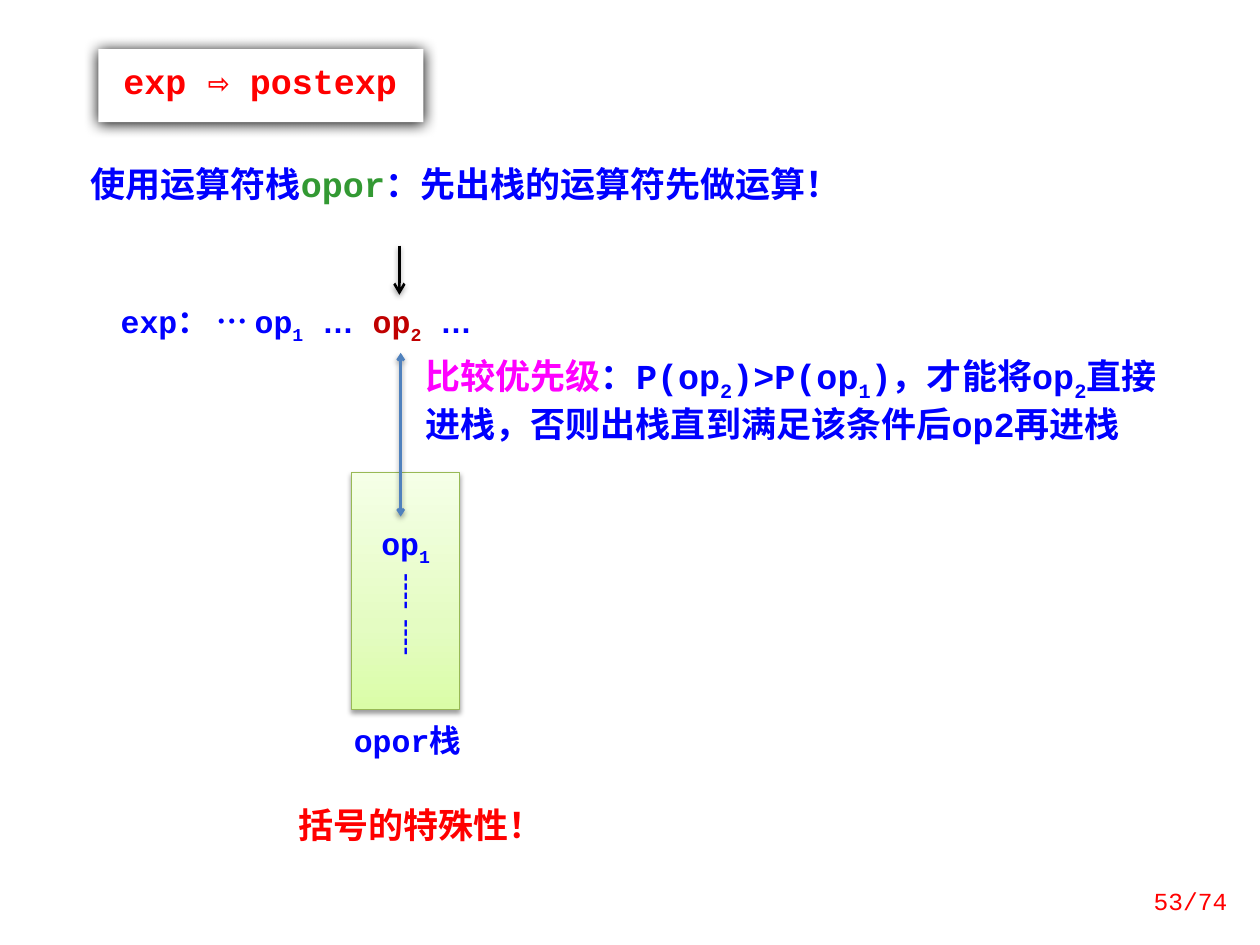
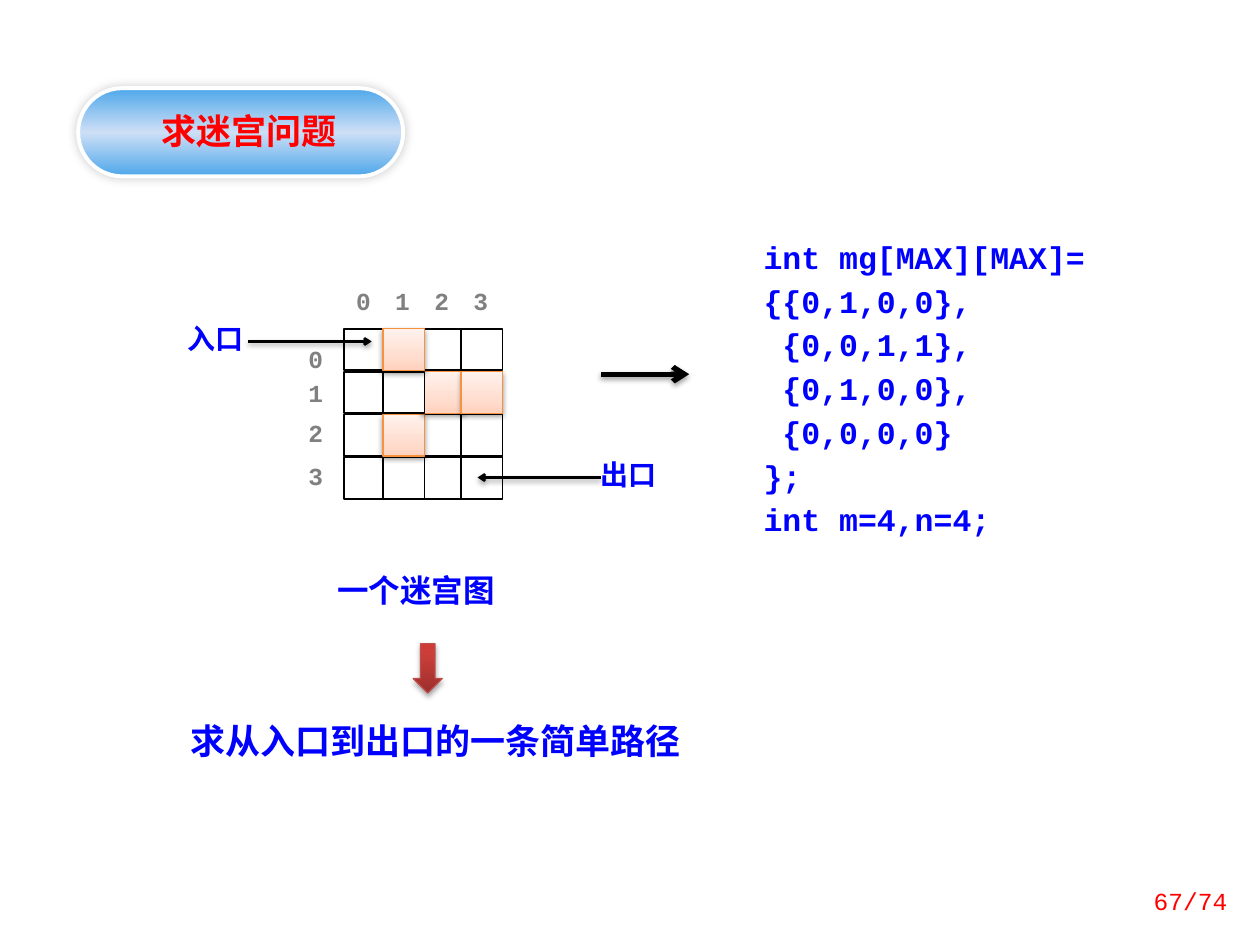
import dataclasses

import pptx
import pptx.dml.color
import pptx.enum.shapes
import pptx.enum.text
import pptx.oxml
import pptx.oxml.ns
import pptx.util

SCALE = 9144
SHAPES = pptx.enum.shapes.MSO_SHAPE
ALIGN = pptx.enum.text.PP_ALIGN
ANCHOR = pptx.enum.text.MSO_ANCHOR
FIT = pptx.enum.text.MSO_AUTO_SIZE
POINT = pptx.util.Pt


@dataclasses.dataclass(frozen=True)
class Theme:
    """Colours, fonts, type sizes and effects shared by the slides."""
    blue: str = "0000FF"
    red: str = "FF0000"
    dark_red: str = "C00000"
    green: str = "339933"
    magenta: str = "FF00FF"
    gray: str = "808080"
    black: str = "000000"
    white: str = "FFFFFF"
    steel: str = "4F81BD"
    stack_edge: str = "98B955"
    wall_edge: str = "F69240"
    arrow_edge: str = "BF4C48"
    code: str = "Courier New"
    chinese: str = "Noto Sans CJK SC"
    latin: str = "Arial"
    heading: int = 20
    body: int = 18
    label: int = 16
    small: int = 14
    stack_fill: tuple = ((0, "DAFDA7"), (35, "E4FCC2"), (100, "F5FFE7"))
    wall_fill: tuple = ((0, "FFD2BD"), (35, "FFDED0"), (100, "FFF2ED"))
    arrow_fill: tuple = ((0, "9C2F2D"), (80, "CB3E3A"), (100, "CE3B37"))
    pill_fill: tuple = ((0, "4EA7EA"), (50, "CDDFF6"), (100, "4EA7EA"))
    soft_shadow: tuple = (38, 3.1, 1.6, 90)
    arrow_shadow: tuple = (35, 3.1, 1.8, 90)
    title_shadow: tuple = (100, 8.5, 1, 90)
    pill_shadow: tuple = (20, 6, 0, 225)


THEME = Theme()
MAZE = ((0, 1, 0, 0), (0, 0, 1, 1), (0, 1, 0, 0), (0, 0, 0, 0))
CODE_LINES = ("int mg[MAX][MAX]=", "{{0,1,0,0},", " {0,0,1,1},", " {0,1,0,0},",
              " {0,0,0,0}", "};", "int m=4,n=4;")
SUB = {"baseline": -25}


def px(*lengths):
    """Turn px lengths into EMU."""
    return [pptx.util.Emu(length * SCALE) for length in lengths]


def rgb(color):
    """Make a colour from its hex digits."""
    return pptx.dml.color.RGBColor.from_string(color)


def element(markup):
    """Build a drawing element from markup without a namespace declaration."""
    name, rest = markup[1:].split(">", 1)
    tag, _, attributes = name.partition(" ")
    space = pptx.oxml.ns.nsdecls("a")
    return pptx.oxml.parse_xml(f"<{tag} {space} {attributes}>{rest}")


def apply(target, values):
    """Set every attribute named in a dict of format values."""
    for name, value in values.items():
        setattr(target, name, value)


def add_shadow(shape, shadow):
    """Give a shape an outer shadow, or none at all."""
    effects = element("<a:effectLst></a:effectLst>")
    if shadow:
        alpha, blur, distance, angle = shadow
        effects.append(element(
            f'<a:outerShdw blurRad="{POINT(blur)}" dist="{POINT(distance)}" '
            f'dir="{angle * 60000}" rotWithShape="0"><a:srgbClr val="{THEME.black}">'
            f'<a:alpha val="{alpha * 1000}"/></a:srgbClr></a:outerShdw>'))
    shape._element.spPr.append(effects)


def set_gradient(shape, stops, angle):
    """Fill a shape with a linear gradient."""
    shape.fill.background()
    marks = "".join(f'<a:gs pos="{place * 1000}"><a:srgbClr val="{color}"/></a:gs>'
                    for place, color in stops)
    gradient = element(f'<a:gradFill rotWithShape="1"><a:gsLst>{marks}</a:gsLst>'
                       f'<a:lin ang="{angle * 60000}" scaled="0"/></a:gradFill>')
    properties = shape._element.spPr
    properties.replace(properties.find(pptx.oxml.ns.qn("a:noFill")), gradient)


def style_shape(shape, fill, edge=None, width=1, shadow=None, angle=270):
    """Set fill, outline and shadow of a shape."""
    if isinstance(fill, tuple):
        set_gradient(shape, fill, angle)
    else:
        shape.fill.solid()
        shape.fill.fore_color.rgb = rgb(fill)
    if edge:
        shape.line.color.rgb = rgb(edge)
        shape.line.width = POINT(width)
    else:
        shape.line.fill.background()
    add_shadow(shape, shadow)


def add_block(page, kind, place, fill, **style):
    """Add a preset shape at left, top, width and height."""
    block = page.shapes.add_shape(kind, *px(*place))
    style_shape(block, fill, **style)
    return block


def add_span(para, text, color=THEME.blue, size=THEME.body, font=THEME.code,
             bold=True, baseline=0):
    """Add one formatted run to a paragraph."""
    span = para.add_run()
    span.text = text
    span.font.color.rgb = rgb(color)
    apply(span.font, {"size": POINT(size), "bold": bold, "name": font})
    properties = span._r.get_or_add_rPr()
    if baseline:
        properties.set("baseline", str(baseline * 1000))
    properties.append(element(f'<a:ea typeface="{THEME.chinese}"></a:ea>'))


def write(box, paragraphs, insets=(10, 5, 10, 5), anchor=ANCHOR.TOP, grow=True,
          align=ALIGN.LEFT, line=None, gap=0, **style):
    """Fill a box with paragraphs, each a list of (text, overrides) spans."""
    frame = box.text_frame
    sides = ("margin_left", "margin_top", "margin_right", "margin_bottom")
    apply(frame, dict(zip(sides, px(*insets))))
    apply(frame, {"word_wrap": True, "vertical_anchor": anchor,
                  "auto_size": FIT.SHAPE_TO_FIT_TEXT if grow else FIT.NONE})
    for index, spans in enumerate(paragraphs):
        para = frame.add_paragraph() if index else frame.paragraphs[0]
        apply(para, {"alignment": align, "line_spacing": line,
                     "space_before": POINT(gap if index else 0)})
        for text, overrides in spans:
            add_span(para, text, **{**style, **overrides})


def add_text(page, place, paragraphs, **style):
    """Add a text box; a plain string is one paragraph of one span."""
    box = page.shapes.add_textbox(*px(*place))
    if isinstance(paragraphs, str):
        paragraphs = [[(paragraphs, {})]]
    write(box, paragraphs, **style)
    return box


def add_label(page, place, text, **style):
    """Add a small centred label without margins."""
    add_text(page, place, text, insets=(0, 0, 0, 0), align=ALIGN.CENTER,
             grow=False, **style)


def add_arrow(page, start, end, color=THEME.black, width=1.5, ends=("tailEnd",),
              head="med"):
    """Add a straight arrow with a soft shadow."""
    straight = pptx.enum.shapes.MSO_CONNECTOR.STRAIGHT
    arrow = page.shapes.add_connector(straight, *px(*start, *end))
    arrow.line.color.rgb = rgb(color)
    arrow.line.width = POINT(width)
    outline = arrow._element.spPr.find(pptx.oxml.ns.qn("a:ln"))
    for end_name in ends:
        outline.append(element(f'<a:{end_name} type="arrow" w="{head}" len="{head}">'
                               f'</a:{end_name}>'))
    add_shadow(arrow, THEME.soft_shadow)


def add_page(deck, title, place, number, **style):
    """Add a slide with its title and page number."""
    page = deck.slides.add_slide(deck.slide_layouts[5])
    heading = page.shapes.title
    apply(heading, dict(zip(("left", "top", "width", "height"), px(*place))))
    write(heading, [[(title, {})]], grow=False, color=THEME.red,
          size=THEME.heading, **style)
    add_text(page, (886, 695, 98, 40), f"{number}/74", anchor=ANCHOR.MIDDLE,
             align=ALIGN.RIGHT, grow=False, color=THEME.red, size=THEME.small, bold=False)
    return page


def build_postfix_page(deck):
    """Show how the operator stack turns exp into postexp."""
    page = add_page(deck, "exp ⇨ postexp", (78, 39, 258, 58), 53,
                    insets=(20, 8, 10, 16), line=POINT(24))
    style_shape(page.shapes.title, THEME.white, shadow=THEME.title_shadow)
    add_text(page, (62, 124, 641, 44),
             [[("使用运算符栈", {}), ("opor", {"color": THEME.green}),
               ("：先出栈的运算符先做运算！", {})]], size=THEME.heading)
    dots = {"font": THEME.latin}
    current = {"color": THEME.dark_red}
    add_text(page, (86, 227, 383, 52),
             [[("exp： ", {}), ("…", dots), (" op", {}), ("1", SUB), (" ", {}),
               ("…", dots), (" ", {}), ("op", current), ("2", {**current, **SUB}),
               (" ", {}), ("…", dots)]],
             line=POINT(30))
    stack = add_block(page, SHAPES.RECTANGLE, (279, 375, 86, 188), THEME.stack_fill,
                      edge=THEME.stack_edge, width=0.75, shadow=THEME.soft_shadow)
    write(stack, [[("op", {}), ("1", SUB)], [("┊", {})], [("┊", {})]],
          anchor=ANCHOR.MIDDLE, align=ALIGN.CENTER, grow=False, line=0.8, gap=9)
    add_text(page, (271, 567, 109, 40), "opor栈")
    add_arrow(page, (317, 195), (317, 234))
    add_arrow(page, (318, 280), (318, 410), color=THEME.steel,
              ends=("headEnd", "tailEnd"), head="sm")
    add_text(page, (328, 281, 617, 77),
             [[("比较优先级", {"color": THEME.magenta}), ("：P(op", {}), ("2", SUB),
               (")>P(op", {}), ("1", SUB), (")，才能将op", {}), ("2", SUB),
               ("直接进栈，否则出栈直到满足该条件后op2再进栈", {})]],
             size=THEME.heading, line=POINT(24))
    add_text(page, (227, 633, 227, 44), "括号的特殊性！", color=THEME.red,
             size=THEME.heading, font=THEME.chinese)


def add_maze(page):
    """Draw the maze grid with its row and column numbers."""
    for row in reversed(range(4)):
        for column in (0, 2, 1, 3):
            place = (273 + 31 * column, 261 + 34 * row, 33, 33)
            if MAZE[row][column]:
                add_block(page, SHAPES.RECTANGLE, place, THEME.wall_fill,
                          edge=THEME.wall_edge, width=0.75, shadow=THEME.soft_shadow)
            else:
                add_block(page, SHAPES.RECTANGLE, place, THEME.white, edge=THEME.black)
    for index, row_top in enumerate((273, 300, 332, 366)):
        for left, top in ((272 + 31 * index, 227), (234, row_top)):
            add_label(page, (left, top, 33, 33), str(index),
                      color=THEME.gray, size=THEME.small)


def build_maze_page(deck):
    """Show the maze, its array and the path to find."""
    page = add_page(deck, "求迷宫问题", (85, 82, 226, 44), 67,
                    align=ALIGN.CENTER, font=THEME.chinese)
    pill = add_block(page, SHAPES.ROUNDED_RECTANGLE, (62, 70, 258, 70), THEME.pill_fill,
                     edge=THEME.white, width=2.25, shadow=THEME.pill_shadow, angle=90)
    pill.adjustments[0] = 0.5
    pill._element.addnext(page.shapes.title._element)
    add_maze(page)
    for text, left, top in (("出口", 469, 363), ("入口", 141, 255)):
        add_label(page, (left, top, 60, 33), text, size=THEME.label, font=THEME.chinese)
    add_arrow(page, (197, 271), (295, 271), head="sm")
    add_arrow(page, (477, 379), (379, 379), head="sm")
    add_text(page, (258, 448, 164, 40), "一个迷宫图", font=THEME.chinese)
    add_block(page, SHAPES.DOWN_ARROW, (328, 511, 23, 39), THEME.arrow_fill,
              edge=THEME.arrow_edge, width=0.75, shadow=THEME.arrow_shadow)
    add_text(page, (141, 566, 422, 44), "求从入口到出口的一条简单路径", size=THEME.heading)
    add_text(page, (586, 172, 305, 269), [[(text, {})] for text in CODE_LINES],
             insets=(20, 12, 20, 12), line=POINT(25))
    add_arrow(page, (477, 297), (547, 297), width=3)


def main():
    """Build and save the deck."""
    deck = pptx.Presentation()
    deck.slide_width, deck.slide_height = px(1000, 750)
    build_postfix_page(deck)
    build_maze_page(deck)
    deck.save("out.pptx")


if __name__ == "__main__":
    main()
